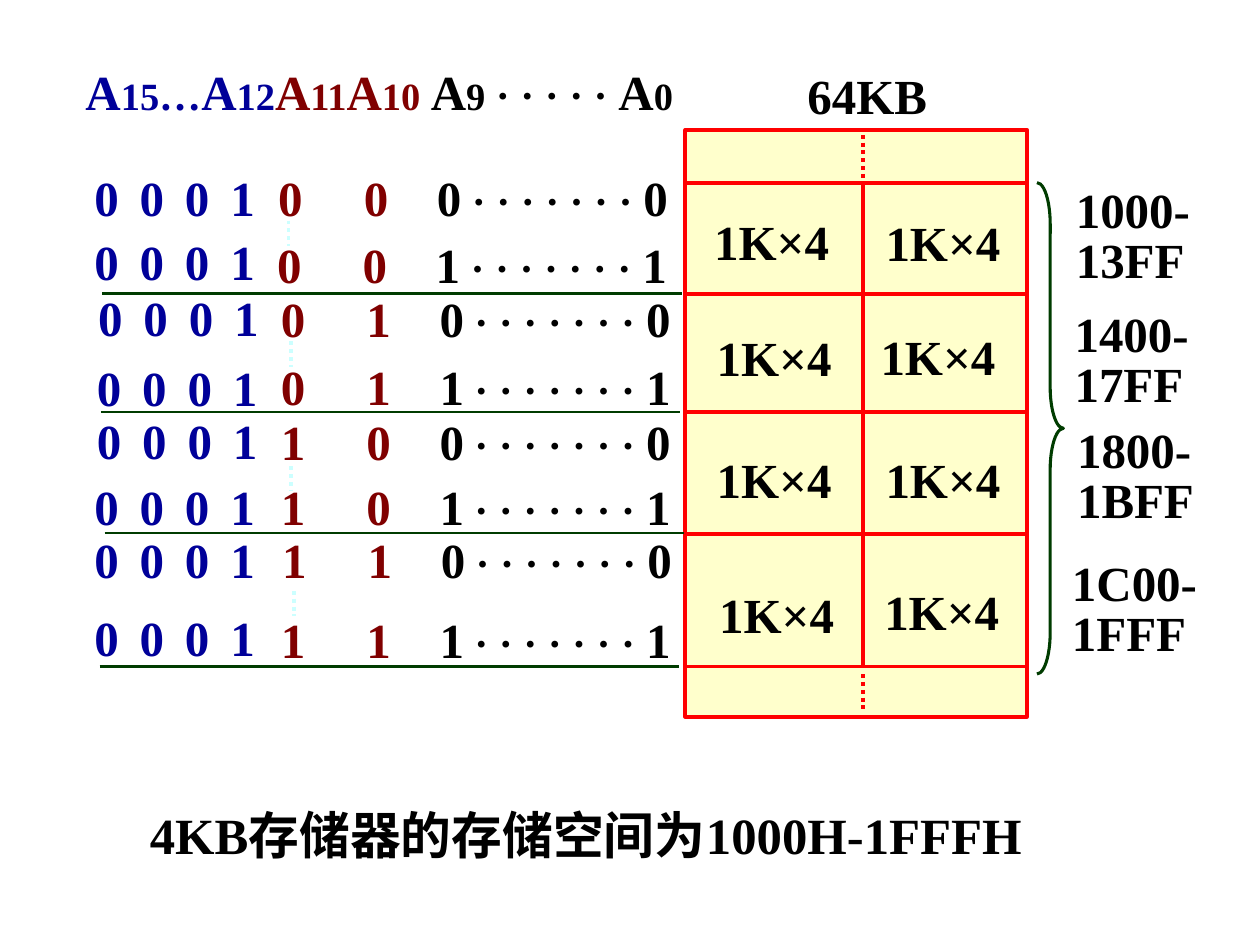
import dataclasses

import lxml.etree
import pptx
import pptx.dml.color
import pptx.enum.dml
import pptx.enum.shapes
import pptx.enum.text
import pptx.oxml.ns
import pptx.util

Inches = pptx.util.Inches
Pt = pptx.util.Pt
qn = pptx.oxml.ns.qn
MSO_SHAPE = pptx.enum.shapes.MSO_SHAPE


@dataclasses.dataclass(frozen=True)
class Theme:
    font: str = "Times New Roman"
    ink: str = "000000"
    high_bits: str = "000099"
    select_bits: str = "800000"
    memory: str = "FFFFCC"
    frame: str = "FF0000"
    rule: str = "003C00"
    dots: str = "CCFFFF"
    caption: int = 29
    body: int = 28
    filler: int = 24
    subscript: int = 22


def rgb(value):
    return pptx.dml.color.RGBColor.from_string(value)


def add_run(p, text, *, size, color, font):
    r = p.add_run()
    r.text = text
    r.font.name = font
    r.font.size = Pt(size)
    r.font.bold = True
    r.font.color.rgb = rgb(color)


class Painter:
    def __init__(self, slide, theme):
        self.slide = slide
        self.theme = theme

    def text(self, left, top, width, runs, height=0.57, spacing=None, tabs=()):
        sp = self.slide.shapes.add_textbox(Inches(left), Inches(top), Inches(width), Inches(height))
        tf = sp.text_frame
        tf.word_wrap = True
        tf.auto_size = pptx.enum.text.MSO_AUTO_SIZE.SHAPE_TO_FIT_TEXT
        p = tf.paragraphs[0]
        if spacing:
            p.line_spacing = spacing
        if tabs:
            tab_list = lxml.etree.SubElement(p._p.get_or_add_pPr(), qn("a:tabLst"))
            for pos in tabs:
                lxml.etree.SubElement(tab_list, qn("a:tab"), pos=str(Inches(pos)), algn="l")
        for text, size, color in runs:
            add_run(p, text, size=size, color=color, font=self.theme.font)

    def label(self, left, top, width, text, size=None, **layout):
        self.text(left, top, width, [(text, size or self.theme.body, self.theme.ink)], **layout)

    def line(self, x1, y1, x2, y2, color, width=2.25, dotted=False):
        cxn = self.slide.shapes.add_connector(
            pptx.enum.shapes.MSO_CONNECTOR.STRAIGHT, Inches(x1), Inches(y1), Inches(x2), Inches(y2))
        cxn.line.color.rgb = rgb(color)
        cxn.line.width = Pt(width)
        if dotted:
            cxn.line.dash_style = pptx.enum.dml.MSO_LINE.ROUND_DOT
        lxml.etree.SubElement(cxn._element.spPr, qn("a:effectLst"))

    def shape(self, kind, left, top, width, height, color, line_width, fill=None):
        sp = self.slide.shapes.add_shape(kind, Inches(left), Inches(top), Inches(width), Inches(height))
        sp.shadow.inherit = False
        if fill:
            sp.fill.solid()
            sp.fill.fore_color.rgb = rgb(fill)
        else:
            sp.fill.background()
        sp.line.color.rgb = rgb(color)
        sp.line.width = Pt(line_width)
        return sp


def draw_headings(painter):
    t = painter.theme
    runs = []
    for name, index, color, gap in (
        ("A", "15", t.high_bits, "…"),
        ("A", "12", t.high_bits, ""),
        ("A", "11", t.select_bits, ""),
        ("A", "10", t.select_bits, " "),
        ("A", "9", t.ink, " · · · · · "),
        ("A", "0", t.ink, ""),
    ):
        runs += [(name, t.body, color), (index, t.subscript, color)]
        if gap:
            runs.append((gap, t.filler, color))
    painter.text(0.58, 0.44, 5.18, runs)
    painter.label(6.31, 0.47, 1.46, "64KB")


def draw_memory(painter):
    t = painter.theme
    left, right, middle = 5.44, 8.15, 6.85
    painter.shape(MSO_SHAPE.RECTANGLE, left, 1.03, right - left, 4.66, t.frame, 2.25, t.memory)
    for y in (1.45, 2.33, 3.27, 4.24, 5.29):
        painter.line(left, y, right, y, t.frame)
    painter.line(middle, 1.47, middle, 5.28, t.frame)
    for top, bottom in ((1.07, 1.42), (5.35, 5.65)):
        painter.line(middle, top, middle, bottom, t.frame, dotted=True)
    for x, y in ((5.57, 1.63), (6.93, 1.64), (5.59, 2.55), (6.89, 2.54),
                 (5.59, 3.52), (6.93, 3.52), (5.61, 4.59), (6.92, 4.57)):
        painter.label(x, y, 1.34, "1K×4")
    brace = painter.shape(MSO_SHAPE.RIGHT_BRACE, 8.23, 1.45, 0.21, 3.9, t.rule, 1.75)
    brace.adjustments[0] = 1.56
    for x, y, width, text in ((8.44, 1.45, 1.37, "1000- 13FF"), (8.43, 2.43, 1.39, "1400- 17FF"),
                              (8.45, 3.35, 1.3, "1800- 1BFF"), (8.41, 4.41, 1.24, "1C00- 1FFF")):
        painter.label(x, y, width, text, height=0.9, spacing=0.85)


def draw_addresses(painter):
    t = painter.theme
    rows = (
        (0.65, 1.28, 2.11, 1.28), (0.65, 1.79, 2.1, 1.81),
        (0.68, 2.23, 2.13, 2.24), (0.67, 2.79, 2.13, 2.78),
        (0.67, 3.21, 2.13, 3.22), (0.65, 3.73, 2.13, 3.73),
        (0.65, 4.15, 2.14, 4.15), (0.65, 4.77, 2.13, 4.79),
    )
    for i, (high_x, high_y, low_x, low_y) in enumerate(rows):
        block, bit = divmod(i, 2)
        a11, a10 = divmod(block, 2)
        painter.text(high_x, high_y, 1.8, [("0\t0\t0\t1", t.body, t.high_bits)],
                     tabs=(0.36, 0.72, 1.08))
        painter.text(low_x, low_y, 3.45, [
            (f"{a11}\t{a10}\t", t.body, t.select_bits),
            (str(bit), t.body, t.ink),
            (" · · · · · · · ", t.filler, t.ink),
            (str(bit), t.body, t.ink),
        ], tabs=(0.68, 1.26))
    for x, y in ((2.29, 1.75), (2.31, 2.71), (2.31, 3.7), (2.33, 4.69)):
        painter.line(x, y, x, y + 0.2, t.dots, dotted=True)
    for x, y in ((0.81, 2.33), (0.8, 3.27), (0.83, 4.23), (0.79, 5.29)):
        painter.line(x, y, x + 4.6, y, t.rule, 1.5)


def main():
    prs = pptx.Presentation()
    prs.slide_width = Inches(10)
    prs.slide_height = Inches(7.5)
    s = prs.slides.add_slide(prs.slide_layouts[6])
    painter = Painter(s, Theme())
    painter.label(1.09, 6.09, 7.98, "4KB存储器的存储空间为1000H-1FFFH",
                  size=painter.theme.caption, height=0.74, spacing=1.5)
    draw_headings(painter)
    draw_memory(painter)
    draw_addresses(painter)
    prs.save("out.pptx")


if __name__ == "__main__":
    main()
